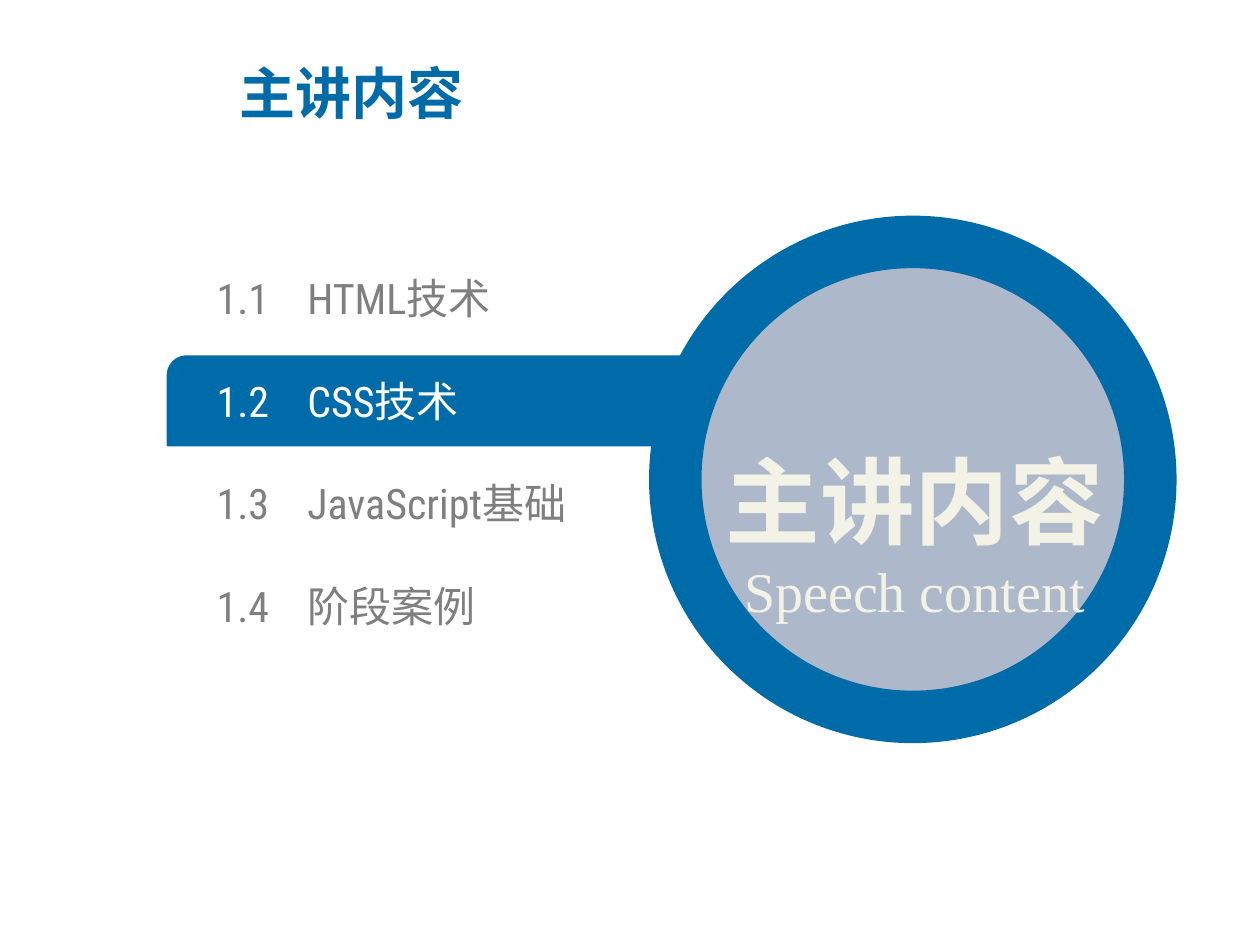
import pptx
import pptx.dml.color
import pptx.enum.shapes
import pptx.enum.text
import pptx.oxml.ns
import pptx.util
from lxml import etree

Inches = pptx.util.Inches
Pt = pptx.util.Pt
SHAPES = pptx.enum.shapes.MSO_SHAPE
ALIGN = pptx.enum.text.PP_ALIGN
qn = pptx.oxml.ns.qn

COLORS = {
    "blue": "006BA9",
    "disc": "ADB9CA",
    "cream": "F2F2E6",
    "gray": "7F7F7F",
    "white": "FFFFFF",
}
CJK_FONT = "Noto Sans CJK SC"
TOPICS = [
    ("1.1", "HTML技术"),
    ("1.2", "CSS技术"),
    ("1.3", "JavaScript基础"),
    ("1.4", "阶段案例"),
]
CURRENT = "1.2"


def rgb(name):
    return pptx.dml.color.RGBColor.from_string(COLORS[name])


def add_panel(slide, preset, box, fill, line_width):
    panel = slide.shapes.add_shape(preset, *map(Inches, box))
    panel.shadow.inherit = False
    panel.fill.solid()
    panel.fill.fore_color.rgb = rgb(fill)
    panel.line.color.rgb = rgb("blue")
    panel.line.width = Pt(line_width)
    return panel


def add_text_frame(slide, box, inset=True):
    frame = slide.shapes.add_textbox(*map(Inches, box)).text_frame
    frame.word_wrap = True
    frame.vertical_anchor = pptx.enum.text.MSO_ANCHOR.MIDDLE
    if not inset:
        frame.margin_left = frame.margin_right = 0
        frame.margin_top = frame.margin_bottom = 0
    return frame


def write(paragraph, text, size, font, color, bold=False):
    paragraph.text = text
    paragraph.font.size = Pt(size)
    paragraph.font.name = font
    paragraph.font.bold = bold
    paragraph.font.color.rgb = rgb(color)
    # East Asian typeface for the Chinese characters
    defaults = paragraph.font._element
    etree.SubElement(defaults, qn("a:ea")).set("typeface", CJK_FONT)


def add_title(slide, box):
    title = add_text_frame(slide, box).paragraphs[0]
    write(title, "主讲内容", 32, CJK_FONT, "blue", bold=True)


def add_topics(slide, box):
    left, top, width, height = box
    row_height = 0.4
    step = (height - row_height) / (len(TOPICS) - 1)
    for row, (number, name) in enumerate(TOPICS):
        row_top = top + row * step
        current = number == CURRENT
        if current:
            # Highlight bar, running under the disc
            bar = add_panel(slide, SHAPES.ROUND_2_DIAG_RECTANGLE,
                            (left - 0.39, row_top - 0.15, 4.92, 0.71), "blue", 1)
            bar.adjustments[0] = 0.21
            bar.adjustments[1] = 0
        topic = add_text_frame(slide, (left, row_top, width, row_height),
                               inset=False).paragraphs[0]
        write(topic, f"{number}\t{name}", 24, "Roboto Condensed",
              "white" if current else "gray")
        # Hanging indent lines up the topic names
        properties = topic._p.get_or_add_pPr()
        properties.set("marL", str(Inches(0.72)))
        properties.set("indent", str(-Inches(0.72)))


def add_disc(slide, box):
    left, top, width, height = box
    add_panel(slide, SHAPES.OVAL, box, "disc", 30)
    caption = add_text_frame(slide, (left - 0.05, top + 1.09, width + 0.13, 2))
    heading = caption.paragraphs[0]
    write(heading, "主讲内容", 54, CJK_FONT, "cream", bold=True)
    heading.line_spacing = 1.5
    translation = caption.add_paragraph()
    write(translation, "Speech content", 32, "Times New Roman", "cream")
    for paragraph in caption.paragraphs:
        paragraph.alignment = ALIGN.CENTER


def main():
    deck = pptx.Presentation()
    deck.slide_width = Inches(10)
    deck.slide_height = Inches(7.5)
    slide = deck.slides.add_slide(deck.slide_layouts[6])
    add_title(slide, (1.8, 0.43, 5.41, 0.61))
    add_topics(slide, (1.72, 2.16, 3.67, 2.85))
    add_disc(slide, (5.36, 1.92, 3.77, 3.77))
    deck.save("out.pptx")


if __name__ == "__main__":
    main()
